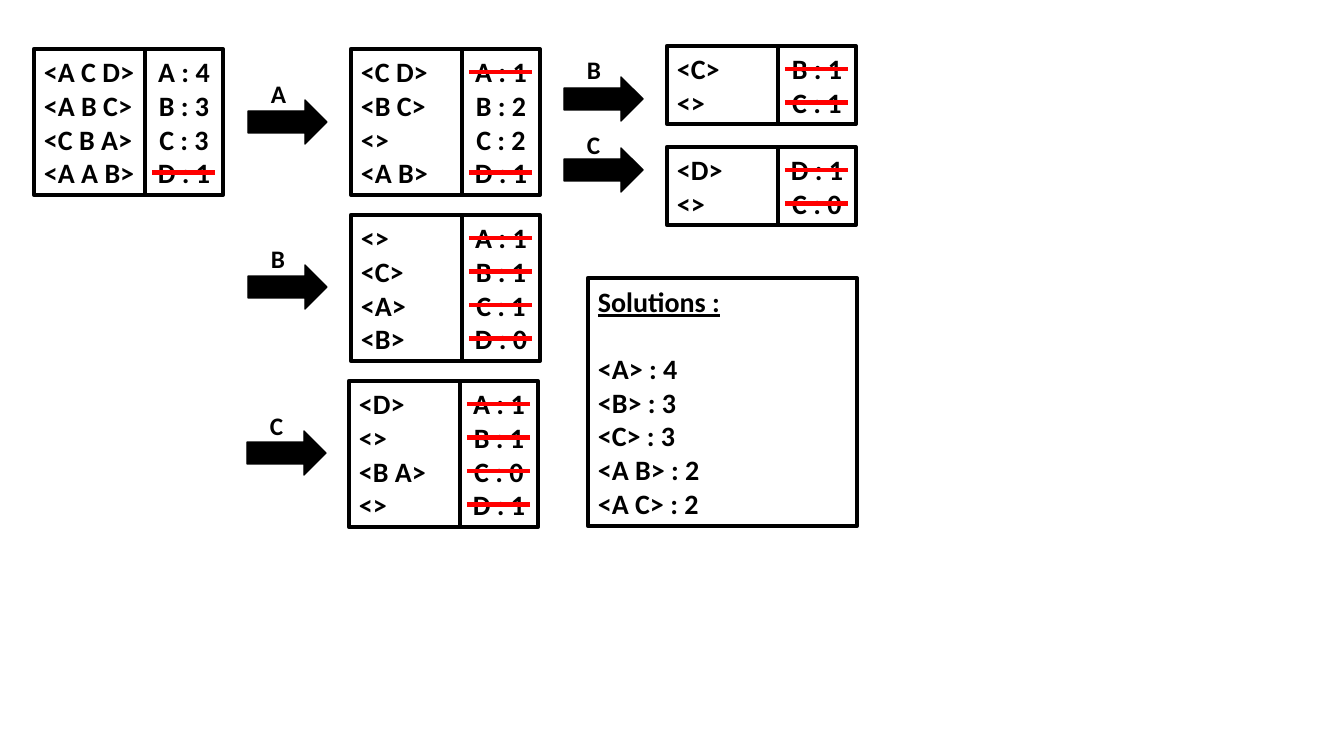
from lxml.etree import SubElement
from pptx import Presentation
from pptx.dml.color import RGBColor
from pptx.enum.shapes import MSO_CONNECTOR, MSO_SHAPE
from pptx.enum.text import MSO_ANCHOR, PP_ALIGN
from pptx.oxml.ns import qn
from pptx.util import Emu, Pt

BLACK = RGBColor(0, 0, 0)
WHITE = RGBColor(255, 255, 255)
RED = RGBColor(255, 0, 0)

# left, top, sequences, counts, indexes of the struck counts
DATABASES = [
    (34, 49, ["<A C D>", "<A B C>", "<C B A>", "<A A B>"],
     ["A : 4", "B : 3", "C : 3", "D : 1"], [3]),
    (351, 49, ["<C D>", "<B C>", "<>", "<A B>"],
     ["A : 1", "B : 2", "C : 2", "D : 1"], [0, 3]),
    (351, 215, ["<>", "<C>", "<A>", "<B>"],
     ["A : 1", "B : 1", "C : 1", "D : 0"], [0, 1, 2, 3]),
    (349, 381, ["<D>", "<>", "<B A>", "<>"],
     ["A : 1", "B : 1", "C : 0", "D : 1"], [0, 1, 2, 3]),
    (667, 46, ["<C>", "<>"], ["B : 1", "C : 1"], [0, 1]),
    (667, 147, ["<D>", "<>"], ["D : 1", "C : 0"], [0, 1]),
]
# left, top, label, label top
ARROWS = [
    (248, 100, "A", 73),
    (248, 265, "B", 238),
    (247, 431, "C", 405),
    (564, 77, "B", 49),
    (564, 148, "C", 124),
]
SOLUTIONS = ["Solutions :", "<A> : 4", "<B> : 3", "<C> : 3", "<A B> : 2", "<A C> : 2"]
SOLUTIONS_AREA = (588, 278, 269, 248)

SEQUENCE_WIDTH, COUNT_WIDTH = 111, 78
ROW_HEIGHT, BOX_PADDING = 34, 10
STRIKE_INSET, STRIKE_WIDTH, STRIKE_TOP, STRIKE_STEP = 7, 63, 23, 33.5
ARROW_WIDTH, ARROW_HEIGHT = 79, 44
LABEL_INDENT, LABEL_SIZE = 13, 40


def px(*lengths):
    """Turn pixel lengths into EMU."""
    return [Emu(round(length * 914400 / 100.8)) for length in lengths]


def write(shape, lines, size, alignment=PP_ALIGN.LEFT):
    """Write bold black lines into a shape, one paragraph each."""
    frame = shape.text_frame
    frame.word_wrap = True
    frame.text = "\n".join(lines)
    font_format = {"name": "Calibri", "size": Pt(size), "bold": True}
    for paragraph in frame.paragraphs:
        paragraph.alignment = alignment
        font = paragraph.runs[0].font
        for name, value in font_format.items():
            setattr(font, name, value)
        font.color.rgb = BLACK
    return frame


def add_outlined(kind, area, fill, line_width):
    """Add a filled preset shape with a black outline."""
    shape = slide.shapes.add_shape(kind, *px(*area))
    shape.shadow.inherit = False
    shape.fill.solid()
    shape.fill.fore_color.rgb = fill
    shape.line.color.rgb = BLACK
    shape.line.width = Pt(line_width)
    return shape


def add_box(area, lines, alignment=PP_ALIGN.LEFT):
    """Add a white box of text and return its text frame."""
    frame = write(add_outlined(MSO_SHAPE.RECTANGLE, area, WHITE, 3), lines, 20, alignment)
    frame.vertical_anchor = MSO_ANCHOR.MIDDLE
    return frame


def add_strike(left, y):
    """Strike out one count with a red line."""
    strike = slide.shapes.add_connector(
        MSO_CONNECTOR.STRAIGHT, *px(left, y, left + STRIKE_WIDTH, y))
    strike.line.color.rgb = RED
    strike.line.width = Pt(3)
    SubElement(strike._element.spPr, qn("a:effectLst"))


def add_database(left, top, sequences, counts, struck):
    """Add a box of sequences and its box of counts with strikes."""
    height = BOX_PADDING + ROW_HEIGHT * len(sequences)
    count_left = left + SEQUENCE_WIDTH
    add_box((left, top, SEQUENCE_WIDTH, height), sequences)
    add_box((count_left, top, COUNT_WIDTH, height), counts, PP_ALIGN.CENTER)
    for row in struck:
        add_strike(count_left + STRIKE_INSET, top + STRIKE_TOP + row * STRIKE_STEP)


def add_arrow(left, top, label, label_top):
    """Add a block arrow with its label above."""
    add_outlined(MSO_SHAPE.RIGHT_ARROW, (left, top, ARROW_WIDTH, ARROW_HEIGHT), BLACK, 1)
    text_box = slide.shapes.add_textbox(
        *px(left + LABEL_INDENT, label_top, LABEL_SIZE, LABEL_SIZE))
    write(text_box, [label], 18)


presentation = Presentation()
presentation.slide_width, presentation.slide_height = px(1344, 756)
slide = presentation.slides.add_slide(presentation.slide_layouts[6])

for database in DATABASES:
    add_database(*database)
for arrow in ARROWS:
    add_arrow(*arrow)

heading = add_box(SOLUTIONS_AREA, SOLUTIONS).paragraphs[0]
heading.space_after = Pt(24)
heading.runs[0].font.underline = True

presentation.save("out.pptx")
